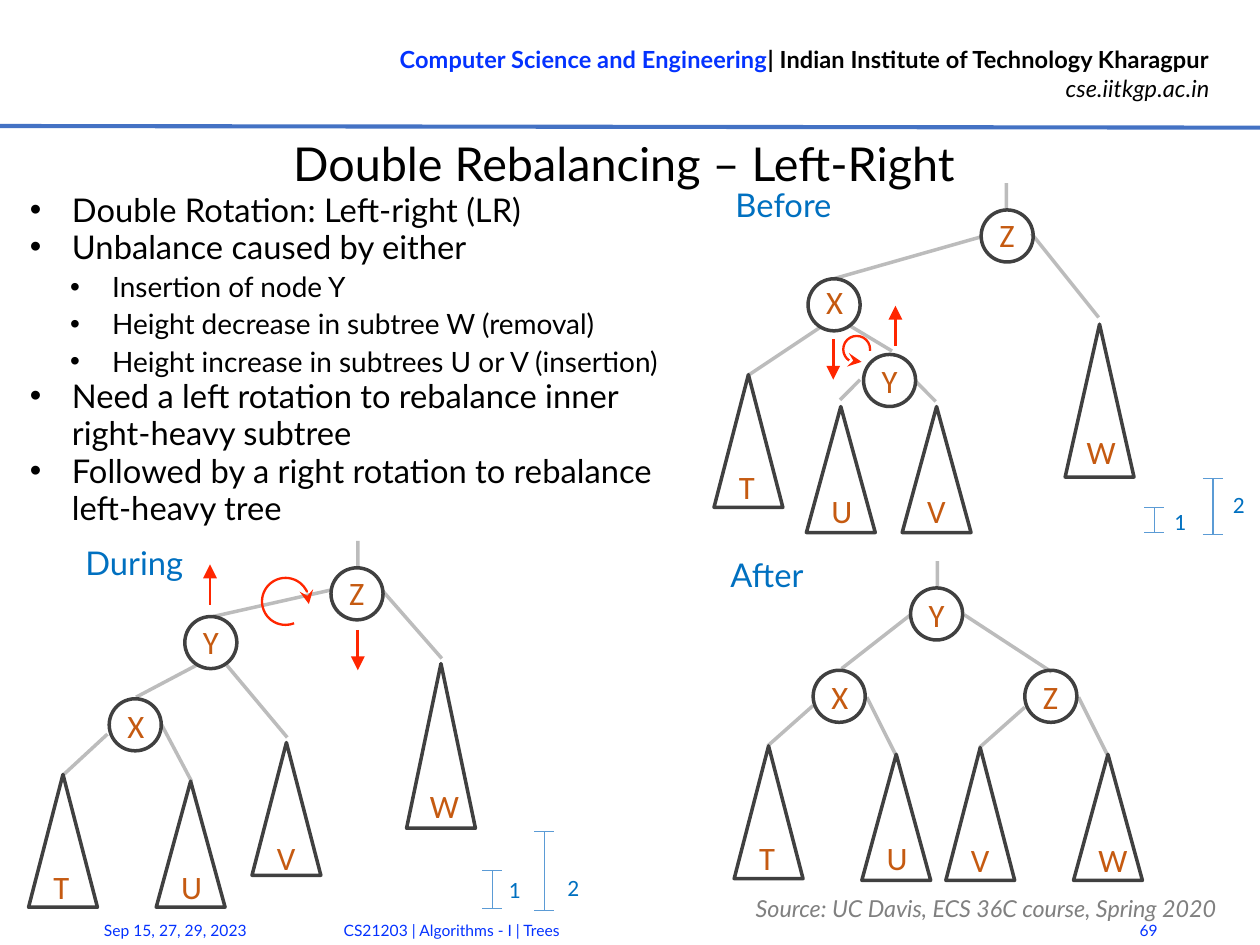
from dataclasses import dataclass

import pptx
import pptx.util
import pptx.dml.color
import pptx.enum.shapes
import pptx.enum.text
import pptx.oxml
import pptx.oxml.ns

Inches = pptx.util.Inches
Pt = pptx.util.Pt
Kind = pptx.enum.shapes.MSO_SHAPE
Align = pptx.enum.text.PP_ALIGN
Anchor = pptx.enum.text.MSO_ANCHOR


@dataclass(frozen=True)
class Theme:
    sans: str = "Lato"
    mark: str = "Calibri"
    ink: str = "000000"
    blue: str = "0432FF"
    rule: str = "4472C4"
    edge: str = "404040"
    node: str = "C55A11"
    label: str = "0070C0"
    gauge: str = "5B9BD5"
    turn: str = "FF2600"
    grey: str = "808080"
    title: float = 20
    body: float = 14
    sub: float = 12
    small: float = 10
    head: float = 10.13
    foot: float = 6.75


T = Theme()

TITLE = "Double Rebalancing – Left-Right"
HEAD = [("Computer Science and Engineering", T.blue),
        ("| Indian Institute of Technology Kharagpur", T.ink)]
SITE = "cse.iitkgp.ac.in"
POINTS = [
    (0, "Double Rotation: Left-right (LR)"),
    (0, "Unbalance caused by either"),
    (1, "Insertion of node Y"),
    (1, "Height decrease in subtree W (removal)"),
    (1, "Height increase in subtrees U or V (insertion)"),
    (0, "Need a left rotation to rebalance inner right-heavy subtree"),
    (0, "Followed by a right rotation to rebalance left-heavy tree"),
]
# text, box, alignment
FOOT = [
    ("Sep 15, 27, 29, 2023", (0.52, 5.42, 1.31, 0.23), Align.LEFT),
    ("CS21203 | Algorithms - I | Trees", (1.22, 5.42, 2.94, 0.24), Align.CENTER),
    ("69", (6.62, 5.39, 0.37, 0.3), Align.RIGHT),
]
SOURCE = "Source: UC Davis, ECS 36C course, Spring 2020"

# nodes: letter, left, top, text top
# leaves: letter, left, top, height, text left, text top
# links: x1, y1, x2, y2; gauges: text, x, top, bottom, text left, text top
# turn: arc left, top, size, arrow end; moves: x, tail y, tip y
STAGES = [
    dict(name="Before", at=(4.28, 1.05),
         nodes=[("Z", 5.84, 1.25, 1.23), ("X", 4.81, 1.66, 1.63),
                ("Y", 5.14, 2.11, 2.1)],
         leaves=[("T", 4.25, 2.23, 0.79, 4.3, 2.73), ("U", 4.8, 2.42, 0.75, 4.85, 2.87),
                 ("V", 5.37, 2.42, 0.75, 5.42, 2.87), ("W", 6.34, 1.93, 0.91, 6.37, 2.52)],
         links=[(5.99, 1.09, 5.99, 1.25), (4.88, 1.95, 4.46, 2.23),
                (6.14, 1.39, 6.54, 1.89), (5.84, 1.41, 4.96, 1.66),
                (5.06, 1.94, 5.31, 2.09), (5.45, 2.27, 5.57, 2.39),
                (5.12, 2.26, 5, 2.38)],
         gauges=[("2", 7.22, 2.85, 3.18, 7.24, 2.87),
                 ("1", 6.87, 3.02, 3.17, 6.89, 2.97)],
         turn=(5.02, 2, 0.16, "headEnd"),
         moves=[(5.33, 2.06, 1.82), (4.96, 2.02, 2.26)]),
    dict(name="During", at=(0.41, 3.18),
         nodes=[("Z", 1.97, 3.38, 3.36), ("Y", 1.1, 3.67, 3.65),
                ("X", 0.65, 4.16, 4.15)],
         leaves=[("T", 0.17, 4.61, 0.79, 0.22, 5.11), ("U", 0.93, 4.65, 0.75, 0.98, 5.11),
                 ("V", 1.5, 4.42, 0.79, 1.55, 4.94), ("W", 2.42, 3.95, 0.98, 2.46, 4.63)],
         links=[(2.13, 3.22, 2.13, 3.38), (1.17, 3.96, 0.81, 4.15),
                (2.28, 3.52, 2.63, 3.92), (1.98, 3.51, 1.27, 3.67),
                (1.35, 3.96, 1.71, 4.39), (0.96, 4.31, 1.14, 4.65),
                (0.64, 4.37, 0.38, 4.61)],
         gauges=[("2", 3.24, 4.95, 5.42, 3.28, 5.15),
                 ("1", 2.93, 5.18, 5.41, 2.93, 5.16)],
         turn=(1.56, 3.44, 0.28, "tailEnd"),
         moves=[(1.25, 3.6, 3.36), (2.13, 3.75, 3.99)]),
    dict(name="After", at=(4.25, 3.25),
         nodes=[("Y", 5.42, 3.5, 3.49), ("X", 4.84, 3.99, 3.98),
                ("Z", 6.1, 3.99, 3.98)],
         leaves=[("T", 4.37, 4.44, 0.79, 4.42, 4.94), ("U", 5.13, 4.49, 0.75, 5.18, 4.94),
                 ("V", 5.63, 4.45, 0.79, 5.68, 4.95), ("W", 6.39, 4.49, 0.75, 6.44, 4.95)],
         links=[(5.58, 3.34, 5.58, 3.5), (5.42, 3.66, 5.01, 3.98),
                (5.74, 3.66, 6.26, 4), (5.16, 4.15, 5.33, 4.49),
                (4.84, 4.2, 4.57, 4.44), (6.42, 4.15, 6.59, 4.49),
                (6.1, 4.21, 5.83, 4.45)],
         gauges=[], turn=None, moves=[]),
]
WIDTHS = dict(T=0.3, U=0.33, V=0.31, W=0.38, X=0.3, Y=0.3, Z=0.29)
DISC, BASE, CAP = 0.31, 0.41, 0.06


def rgb(code):
    return pptx.dml.color.RGBColor.from_string(code)


def sub(parent, tag, **attrs):
    node = parent.makeelement(pptx.oxml.ns.qn(tag), attrs)
    parent.append(node)


def add_run(para, text, size, color, font=T.sans, bold=False, slant=False):
    run = para.add_run()
    run.text = text
    run.font.name, run.font.size = font, Pt(size)
    run.font.color.rgb = rgb(color)
    run.font.bold, run.font.italic = bold, slant


def add_box(home, box, wrap=True, anchor=Anchor.TOP):
    frame = home.add_textbox(*map(Inches, box)).text_frame
    frame.word_wrap, frame.vertical_anchor = wrap, anchor
    return frame


def add_mark(home, text, box, size=T.body, color=T.node):
    frame = add_box(home, box, wrap=False)
    add_run(frame.paragraphs[0], text, size, color, T.mark)


def add_line(home, ends, color, width, alpha=None, arrow=None):
    line = home.add_connector(pptx.enum.shapes.MSO_CONNECTOR.STRAIGHT, *map(Inches, ends))
    line.line.color.rgb, line.line.width = rgb(color), Pt(width)
    props = line._element.spPr
    if alpha:
        fill = props.find(".//" + pptx.oxml.ns.qn("a:srgbClr"))
        sub(fill, "a:alpha", val=str(alpha * 1000))
    if arrow:
        sub(line.line._get_or_add_ln(), "a:tailEnd", type=arrow)
    sub(props, "a:effectLst")


def add_form(home, kind, box, color=T.edge, width=1.5):
    form = home.add_shape(kind, *map(Inches, box))
    form.shadow.inherit = False
    form.fill.background()
    form.line.color.rgb, form.line.width = rgb(color), Pt(width)
    return form


def add_stage(shapes, stage):
    para = add_box(shapes, (*stage["at"], 0.9, 0.36)).paragraphs[0]
    para.line_spacing = Pt(17)
    add_run(para, stage["name"], T.body, T.label)
    for ends in stage["links"]:
        add_line(shapes, ends, T.edge, 1.5, alpha=35)
    for name, x, y, high in stage["nodes"]:
        add_form(shapes, Kind.OVAL, (x, y, DISC, DISC))
        add_mark(shapes, name, (x + 0.01, high, WIDTHS[name], 0.34))
    for name, x, y, tall, left, high in stage["leaves"]:
        home = shapes.add_group_shape().shapes
        add_form(home, Kind.ISOSCELES_TRIANGLE, (x, y, BASE, tall))
        add_mark(home, name, (left, high, WIDTHS[name], 0.34))
    for text, x, top, low, left, high in stage["gauges"]:
        home = shapes.add_group_shape().shapes
        for ends in [(x, top, x, low), (x - CAP, top, x + CAP, top),
                     (x - CAP, low, x + CAP, low)]:
            add_line(home, ends, T.gauge, 0.5)
        add_mark(home, text, (left, high, 0.27, 0.27), T.small, T.label)
    if stage["turn"]:
        x, y, size, end = stage["turn"]
        home = shapes.add_group_shape().shapes
        arc = add_form(home, Kind.ARC, (x, y, size, size), T.turn, 1)
        arc.adjustments[0], arc.adjustments[1] = 41.215, 3.879
        sub(arc.line._get_or_add_ln(), "a:" + end, type="stealth")
        for x, tail, tip in stage["moves"]:
            add_line(home, (x, tail, x, tip), T.turn, 1.25, arrow="triangle")


def add_points(shapes):
    frame = add_box(shapes, (0.08, 1.09, 4.17, 2.09))
    for i, (level, text) in enumerate(POINTS):
        para = frame.add_paragraph() if i else frame.paragraphs[0]
        props = para._p.get_or_add_pPr()
        props.set("marL", str(Inches(0.49 if level else 0.25)))
        props.set("indent", str(Inches(-0.25)))
        sub(props, "a:buFont", typeface="Arial")
        sub(props, "a:buChar", char="•")
        para.level, para.line_spacing = level, Pt(16)
        add_run(para, text, T.sub if level else T.body, T.ink)


def add_frame(shapes):
    """Header, rule, title and footer."""
    head = add_box(shapes, (1.91, 0.22, 5.39, 0.44), wrap=False)
    for text, color in HEAD:
        add_run(head.paragraphs[0], text, T.head, color, bold=True)
    add_run(head.add_paragraph(), SITE, T.head, T.ink, slant=True)
    for para in head.paragraphs:
        para.alignment = Align.RIGHT
    add_line(shapes, (0, 0.75, 7.5, 0.76), T.rule, 1.75)

    title = shapes.title
    title.left, title.top, title.width, title.height = map(Inches, (0.24, 0.8, 6.95, 0.34))
    frame = title.text_frame
    frame.margin_left = frame.margin_right = frame.margin_top = frame.margin_bottom = 0
    frame.vertical_anchor, frame.word_wrap = Anchor.MIDDLE, True
    frame.paragraphs[0].alignment = Align.CENTER
    add_run(frame.paragraphs[0], TITLE, T.title, T.ink)

    for text, box, align in FOOT:
        para = add_box(shapes, box, anchor=Anchor.MIDDLE).paragraphs[0]
        para.alignment = align
        add_run(para, text, T.foot, T.blue)
    para = add_box(shapes, (4.4, 5.28, 3.02, 0.17), anchor=Anchor.MIDDLE).paragraphs[0]
    para.line_spacing = Pt(18)
    add_run(para, SOURCE, T.small, T.grey, slant=True)


def main():
    deck = pptx.Presentation()
    deck.slide_width, deck.slide_height = Inches(7.5), Inches(7.5 * 3 / 4)
    shapes = deck.slides.add_slide(deck.slide_layouts[5]).shapes
    add_frame(shapes)
    add_points(shapes)
    for stage in STAGES:
        add_stage(shapes, stage)
    deck.save("out.pptx")


if __name__ == "__main__":
    main()
